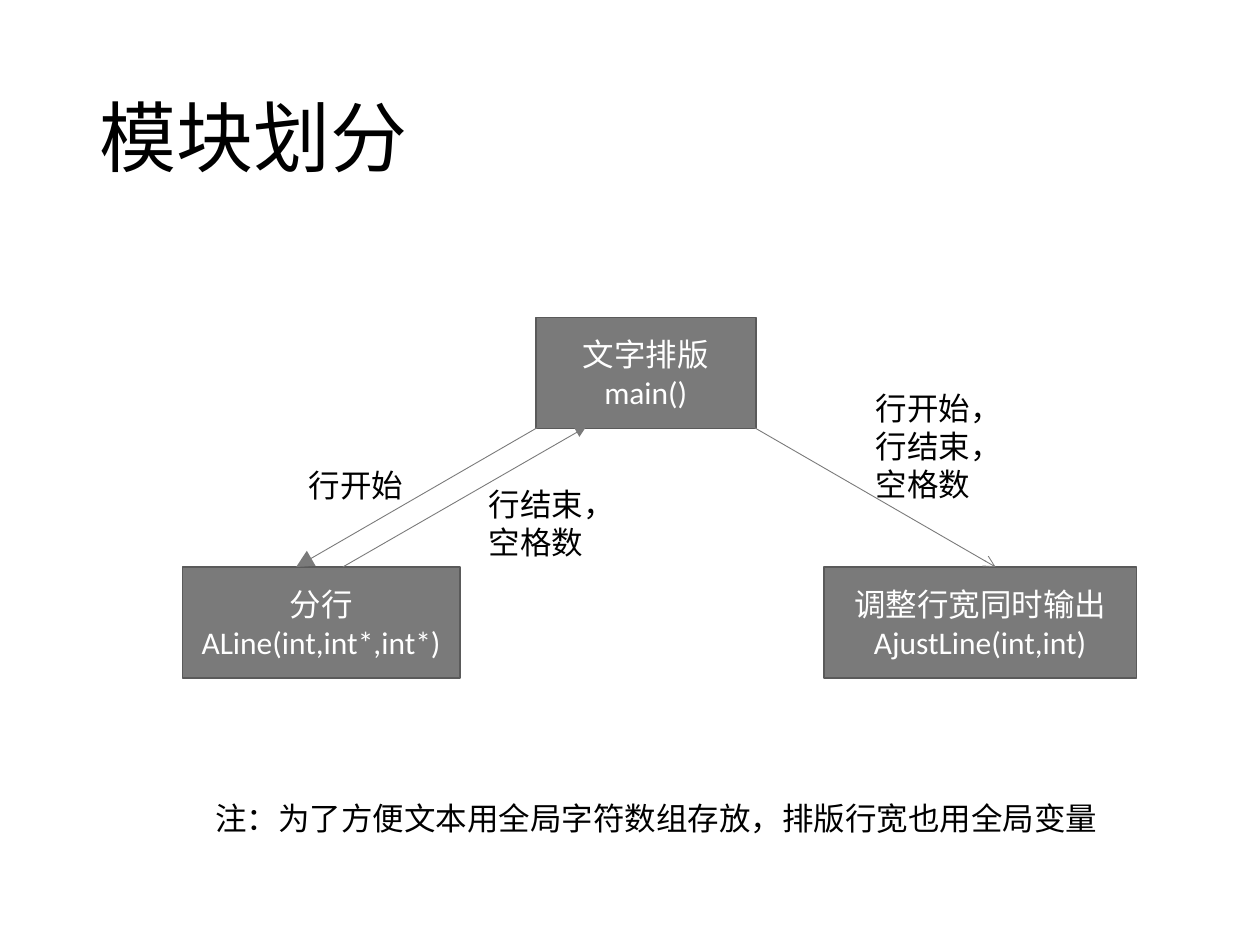
from lxml.etree import SubElement
from pptx import Presentation
from pptx.dml.color import RGBColor
from pptx.enum.shapes import MSO_CONNECTOR, MSO_SHAPE
from pptx.enum.text import MSO_ANCHOR, MSO_AUTO_SIZE, PP_ALIGN
from pptx.oxml.ns import qn
from pptx.util import Cm, Pt


def color(value):
    """Turn a hex string into a colour."""
    return RGBColor.from_string(value)


def write_text(frame, text, size=18, fill="000000", font="Calibri",
               align=PP_ALIGN.LEFT, anchor=MSO_ANCHOR.TOP, spacing=None, wrap=True):
    """Fill a text frame, one paragraph per line of text."""
    frame.word_wrap = wrap
    frame.vertical_anchor = anchor
    for index, line in enumerate(text.split("\n")):
        paragraph = frame.paragraphs[0] if index == 0 else frame.add_paragraph()
        paragraph.alignment = align
        paragraph.line_spacing = spacing
        run = paragraph.add_run()
        run.text = line
        run.font.size = Pt(size)
        run.font.name = font
        run.font.color.rgb = color(fill)


class ModuleDiagram:
    """Style and current slide of a module diagram."""

    box_fill = "7A7A7A"
    box_line = "5A5A5A"
    box_text = "FFFFFF"
    box_height = 2.24

    def __init__(self, slide):
        """Keep the slide to draw on."""
        self.slide = slide

    def text(self, text, left, top, width, height, grow=True, **style):
        """Add a text box."""
        box = self.slide.shapes.add_textbox(Cm(left), Cm(top), Cm(width), Cm(height))
        write_text(box.text_frame, text, **style)
        if grow:
            box.text_frame.auto_size = MSO_AUTO_SIZE.SHAPE_TO_FIT_TEXT

    def module(self, text, left, top, width):
        """Add a module box with its name and function."""
        shape = self.slide.shapes.add_shape(
            MSO_SHAPE.RECTANGLE, Cm(left), Cm(top), Cm(width), Cm(self.box_height))
        shape.shadow.inherit = False
        shape.fill.solid()
        shape.fill.fore_color.rgb = color(self.box_fill)
        shape.line.color.rgb = color(self.box_line)
        shape.line.width = Pt(1)
        write_text(shape.text_frame, text, fill=self.box_text,
                   align=PP_ALIGN.CENTER, anchor=MSO_ANCHOR.MIDDLE)

    def arrow(self, start, end, head="triangle", size="med"):
        """Add a thin line with an arrowhead at its end."""
        connector = self.slide.shapes.add_connector(
            MSO_CONNECTOR.STRAIGHT, *(Cm(value) for value in (*start, *end)))
        connector.line.color.rgb = color(self.box_fill)
        connector.line.width = Pt(0.5)
        SubElement(connector.line._get_or_add_ln(), qn("a:tailEnd"),
                   type=head, w=size, len=size)
        SubElement(connector._element.spPr, qn("a:effectLst"))


def main():
    """Build the slide and save it."""
    presentation = Presentation()
    presentation.slide_width, presentation.slide_height = Cm(25.4), Cm(19.05)
    diagram = ModuleDiagram(presentation.slides.add_slide(presentation.slide_layouts[6]))

    diagram.text("模块划分", 1.75, 1.02, 21.92, 3.68, grow=False,
                 size=44, anchor=MSO_ANCHOR.MIDDLE, spacing=0.9)

    main_bottom, child_top = 8.61, 11.43
    diagram.module("文字排版\nmain()", 10.8, 6.4, 4.44)
    diagram.module("分行\nALine(int,int*,int*)", 3.68, child_top, 5.59)
    diagram.module("调整行宽同时输出\nAjustLine(int,int)", 16.61, child_top, 6.3)

    diagram.arrow((10.85, main_bottom), (5.97, child_top), size="lg")
    diagram.arrow((6.91, child_top), (11.81, main_bottom))
    diagram.arrow((15.19, main_bottom), (20.07, child_top), head="arrow")

    diagram.text("注：为了方便文本用全局字符数组存放，排版行宽也用全局变量",
                 4.09, 15.98, 18.62, 1.02)
    for label, left, top, width, height in (
            ("行开始", 5.97, 9.27, 2.41, 1.02),
            ("行结束，\n空格数", 9.6, 9.65, 3.05, 1.8),
            ("行开始，\n行结束，\n空格数", 17.4, 7.72, 3.05, 2.57)):
        diagram.text(label, left, top, width, height, wrap=False)

    presentation.save("out.pptx")


main()
